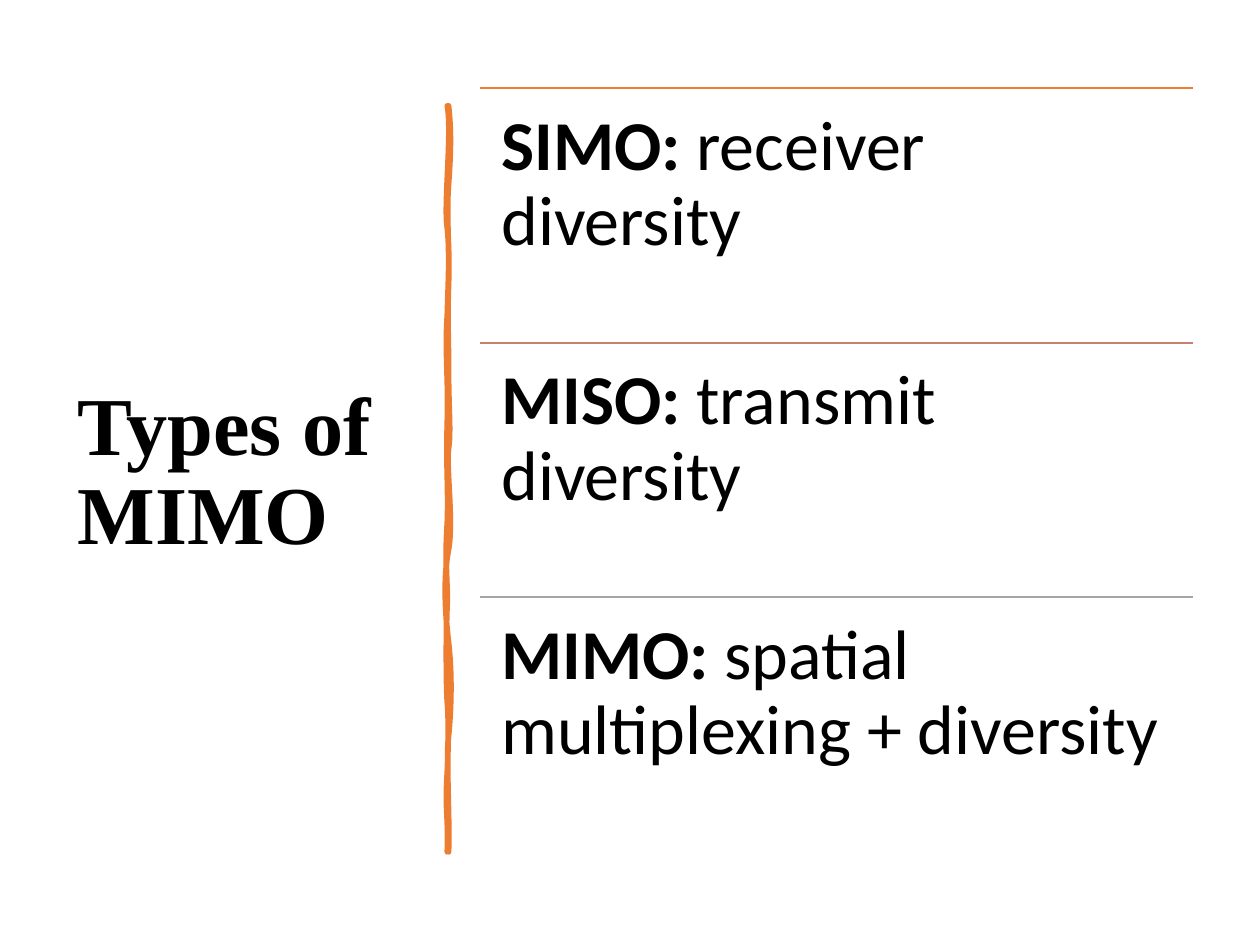
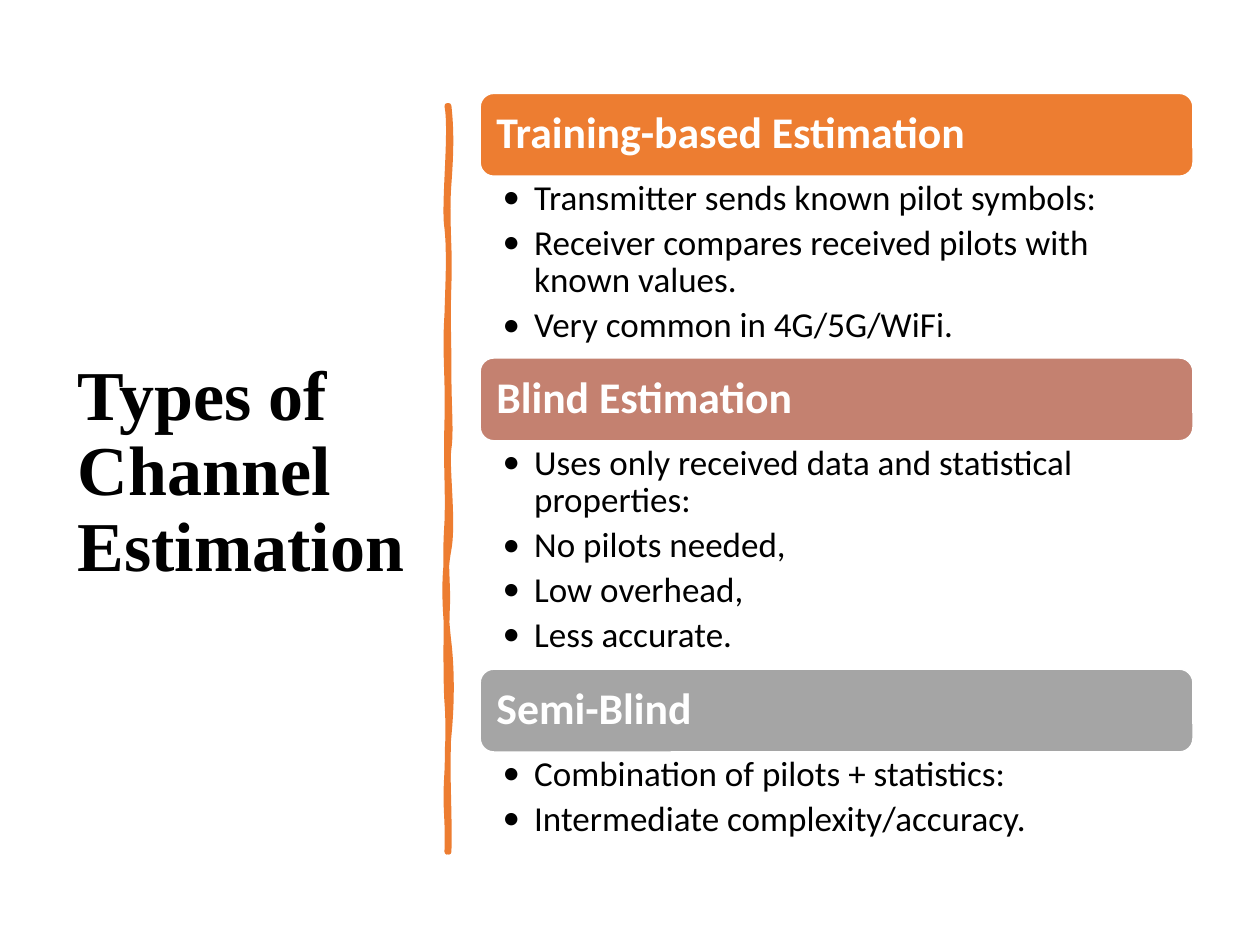
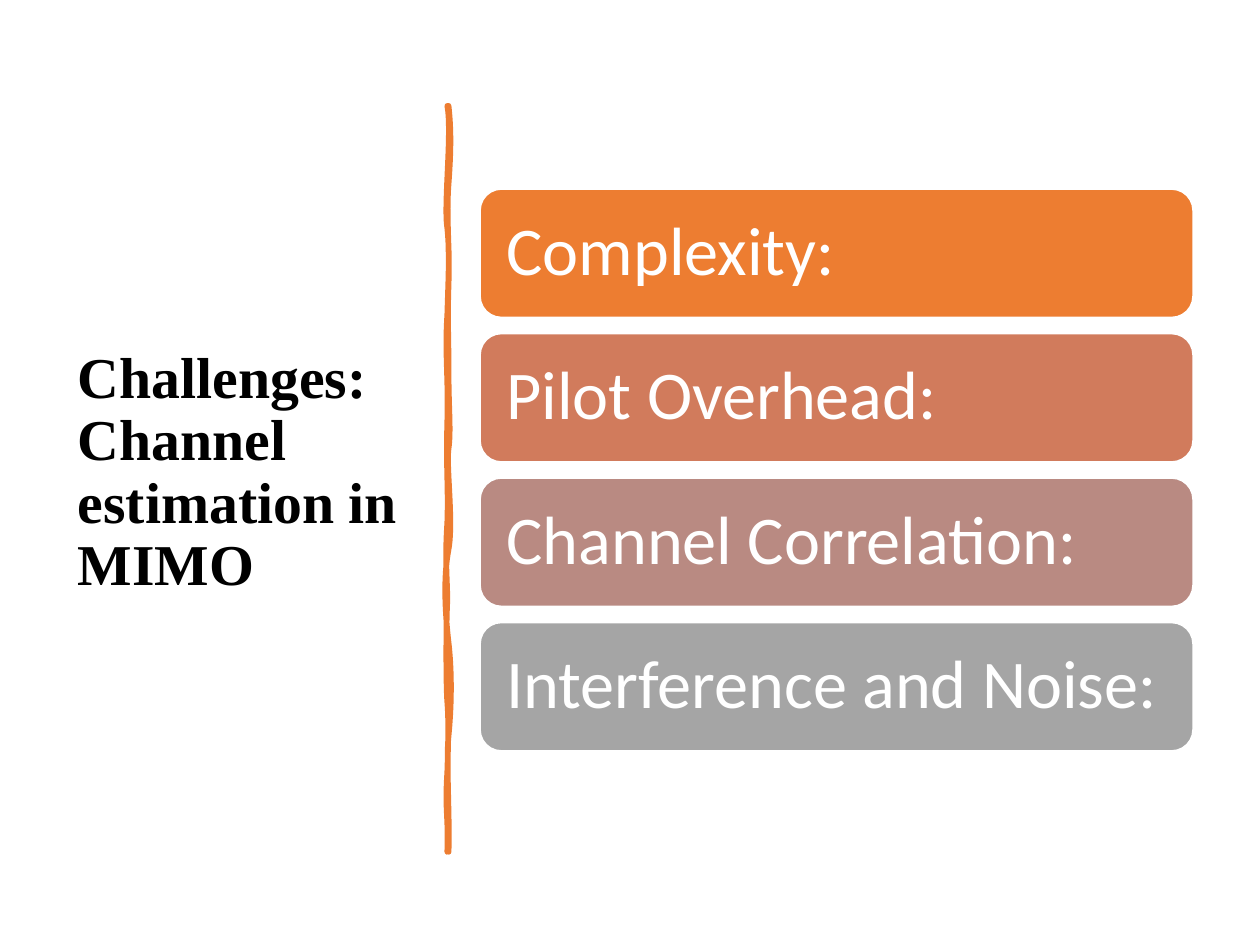
from lxml import etree
from pptx import Presentation
from pptx.dml.color import RGBColor as RGB
from pptx.enum.shapes import MSO_CONNECTOR as LINK, MSO_SHAPE as SHAPE
from pptx.enum.text import MSO_ANCHOR as ANCHOR, PP_ALIGN as ALIGN
from pptx.oxml.ns import qn
from pptx.util import Inches, Pt

HUES = {"orange": "ED7D31", "coral": "D17B5C", "clay": "C48170", "rose": "B98A82",
        "gray": "A5A5A5", "black": "000000", "white": "FFFFFF"}

# Look of each kind of text
TITLE = {"name": "Times New Roman", "bold": True}
TOPIC = {"name": "Calibri", "size": Pt(40), "bold": True}
HEAD = {"name": "Calibri", "size": Pt(25), "bold": True}
NOTE = {"name": "Calibri", "size": Pt(20), "bold": False}
LABEL = {"name": "Calibri", "size": Pt(39), "bold": False}

# Right-hand column
LEFT, WIDE = 3.81, 5.66

# Brush stroke: start point, then curves as two control points and an end point
START = (3.56, 0.84)
CURVES = [
    (3.58, 1.02), (3.58, 1.19), (3.56, 1.46), (3.54, 1.73), (3.57, 1.95), (3.56, 2.26),
    (3.55, 2.57), (3.56, 2.62), (3.56, 2.94), (3.56, 3.25), (3.58, 3.42), (3.56, 3.56),
    (3.54, 3.7), (3.6, 4.14), (3.56, 4.36), (3.52, 4.57), (3.53, 4.84), (3.56, 5.1),
    (3.59, 5.36), (3.58, 5.64), (3.56, 5.84), (3.54, 6.03), (3.57, 6.5), (3.56, 6.76),
    (3.56, 6.75), (3.55, 6.75), (3.55, 6.76), (3.56, 6.46), (3.53, 6.44), (3.55, 6.13),
    (3.56, 5.83), (3.56, 5.7), (3.55, 5.57), (3.54, 5.44), (3.54, 4.95), (3.55, 4.77),
    (3.55, 4.59), (3.53, 4.45), (3.55, 4.15), (3.56, 3.86), (3.54, 3.73), (3.55, 3.35),
    (3.56, 2.98), (3.53, 2.81), (3.55, 2.5), (3.56, 2.18), (3.57, 2), (3.55, 1.81),
    (3.52, 1.63), (3.59, 1.04), (3.55, 0.84),
]


def write(shape, lines, look, hue="black", pads=(0.1, 0.05, 0.1, 0.05),
          anchor=ANCHOR.TOP, dots=False):
    """Fill a shape with paragraphs; text after a | is not bold."""
    frame = shape.text_frame
    frame.word_wrap = True
    frame.vertical_anchor = anchor
    for side, pad in zip(("left", "top", "right", "bottom"), pads):
        setattr(frame, f"margin_{side}", Inches(pad))
    for i, line in enumerate(lines):
        par = frame.add_paragraph() if i else frame.paragraphs[0]
        par.alignment = ALIGN.LEFT
        par.line_spacing = 0.9
        par.text, *tail = line.split("|")
        for part in tail:
            par.add_run().text = part
        if dots:
            par.space_after = Pt(4)
            props = par._p.get_or_add_pPr()
            props.set("marL", str(Inches(0.25)))
            props.set("indent", str(-Inches(0.25)))
            etree.SubElement(props, qn("a:buFont"), typeface="Calibri")
            etree.SubElement(props, qn("a:buChar"), char="•")
        for run in par.runs:
            for key, value in look.items():
                setattr(run.font, key, value)
            run.font.bold = look["bold"] and run.text not in tail
            run.font.color.rgb = RGB.from_string(HUES[hue])


def card(slide, top, high, hue, text, look, pad):
    """Add a rounded box with white text."""
    box = slide.shapes.add_shape(SHAPE.ROUNDED_RECTANGLE, Inches(LEFT), Inches(top),
                                 Inches(WIDE), Inches(high))
    box.shadow.inherit = False
    box.fill.solid()
    box.fill.fore_color.rgb = RGB.from_string(HUES[hue])
    box.line.color.rgb = RGB.from_string(HUES["white"])
    box.line.width = Pt(1)
    write(box, [text], look, "white", (pad,) * 4, ANCHOR.MIDDLE)


deck = Presentation()
deck.slide_width, deck.slide_height = Inches(10), Inches(7.5)

# Shared frame: title at left, brush stroke beside it
slides = []
for text, size in [("Types of MIMO", 47), ("Types of Channel Estimation", 40),
                   ("Challenges:\vChannel estimation in MIMO", 33)]:
    slide = deck.slides.add_slide(deck.slide_layouts[6])
    box = slide.shapes.add_textbox(Inches(0.52), Inches(0.7), Inches(2.8), Inches(6.11))
    write(box, [text], {**TITLE, "size": Pt(size)}, anchor=ANCHOR.MIDDLE)
    pen = slide.shapes.build_freeform(*map(Inches, START))
    pen.add_line_segments([(Inches(x), Inches(y)) for x, y in CURVES], close=True)
    brush = pen.convert_to_shape()
    brush.shadow.inherit = False
    brush.fill.solid()
    for paint in (brush.fill.fore_color, brush.line.color):
        paint.rgb = RGB.from_string(HUES["orange"])
    brush.line.width = Pt(3.25)
    etree.SubElement(brush.line._get_or_add_ln(), qn("a:round"))
    # Merge each three line segments into one curve
    legs = list(brush._element.iter(qn("a:lnTo")))
    for n in range(0, len(legs), 3):
        curve = etree.Element(qn("a:cubicBezTo"))
        legs[n].addprevious(curve)
        for leg in legs[n:n + 3]:
            curve.append(leg[0])
            leg.getparent().remove(leg)
    slides.append(slide)
types, methods, limits = slides

# Types of MIMO: ruled rows
ROW = 2.02
topics = [("orange", "SIMO:| receiver diversity"),
          ("clay", "MISO:| transmit diversity"),
          ("gray", "MIMO:| spatial multiplexing + diversity")]
for i, (hue, text) in enumerate(topics):
    top = Inches(0.7 + i * ROW)
    rule = types.shapes.add_connector(LINK.STRAIGHT, Inches(LEFT), top,
                                      Inches(LEFT + WIDE), top)
    rule.line.color.rgb = RGB.from_string(HUES[hue])
    rule.line.width = Pt(1)
    etree.SubElement(rule._element.spPr, qn("a:effectLst"))
    box = types.shapes.add_textbox(Inches(LEFT), top, Inches(WIDE), Inches(ROW))
    write(box, [text], TOPIC, pads=(0.17,) * 4)

# Types of channel estimation: headed lists
BAND = 0.66
groups = [
    ("orange", "Training-based Estimation", 1.44,
     ["Transmitter sends known pilot symbols:",
      "Receiver compares received pilots with known values.",
      "Very common in 4G/5G/WiFi."]),
    ("clay", "Blind Estimation", 1.81,
     ["Uses only received data and statistical properties:",
      "No pilots needed,", "Low overhead,", "Less accurate."]),
    ("gray", "Semi-Blind", 0.75,
     ["Combination of pilots + statistics:", "Intermediate complexity/accuracy."]),
]
top = 0.74
for hue, head, high, notes in groups:
    card(methods, top, BAND, hue, head, HEAD, 0.1)
    top += BAND
    box = methods.shapes.add_textbox(Inches(LEFT), Inches(top), Inches(WIDE), Inches(high))
    write(box, notes, NOTE, pads=(0.18, 0.03, 0.19, 0.03), dots=True)
    top += high

# Challenges: stacked cards, evenly spread
FIRST, LAST, HIGH = 1.5, 4.94, 1.02
labels = [("orange", "Complexity:"), ("coral", "Pilot Overhead:"),
          ("rose", "Channel Correlation:"), ("gray", "Interference and Noise:")]
pitch = (LAST - FIRST) / (len(labels) - 1)
for i, (hue, text) in enumerate(labels):
    card(limits, FIRST + i * pitch, HIGH, hue, text, LABEL, 0.16)

deck.save("out.pptx")
